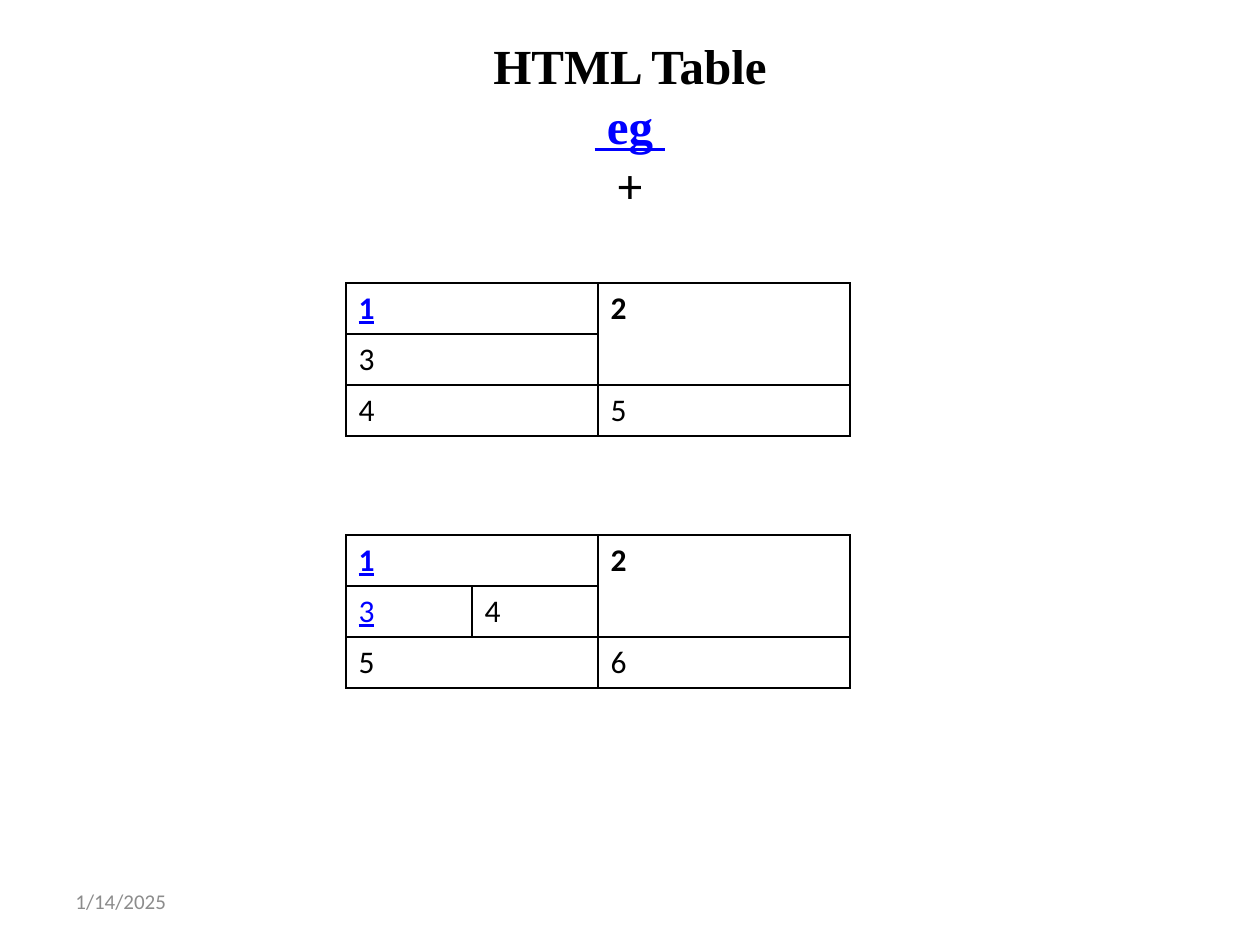
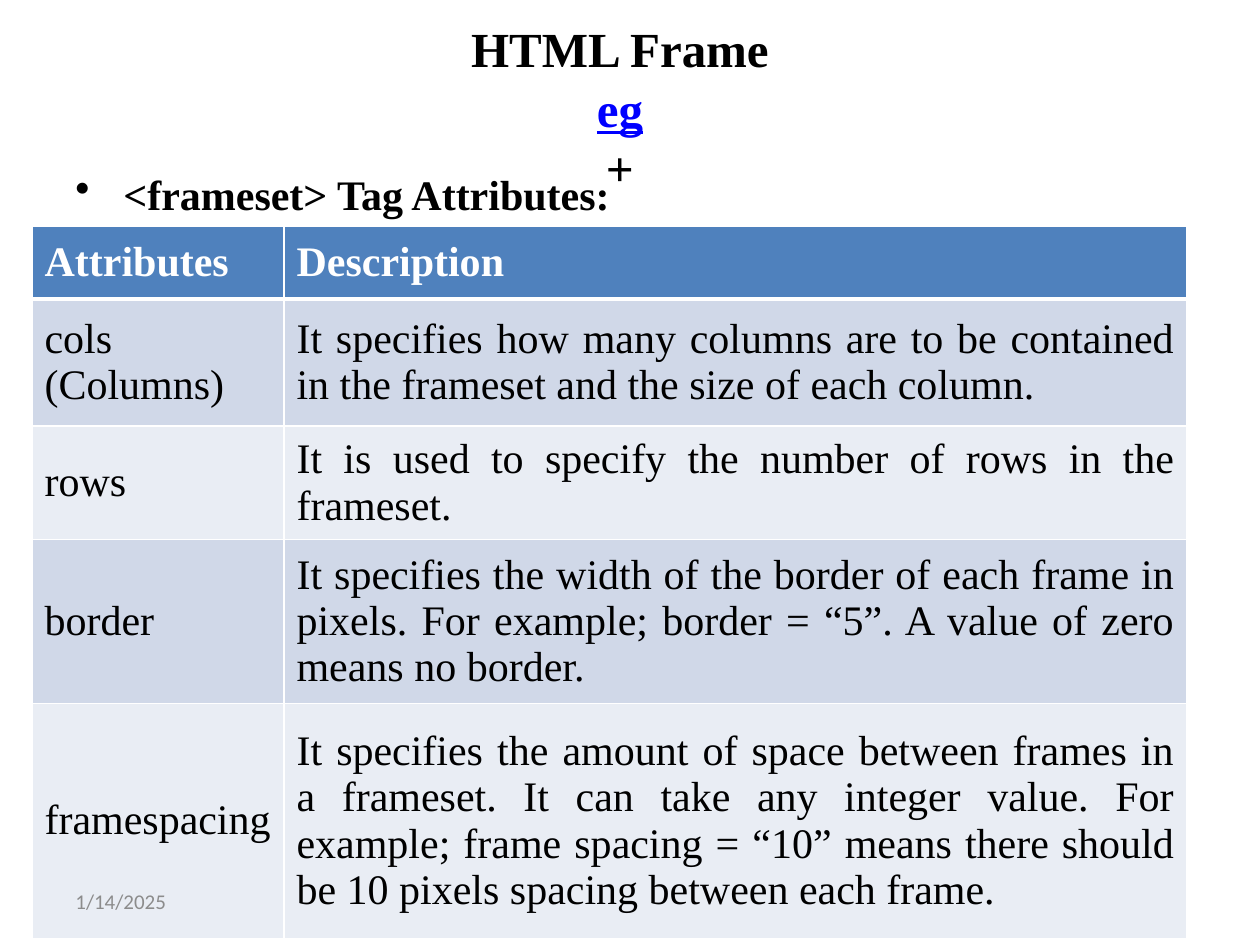
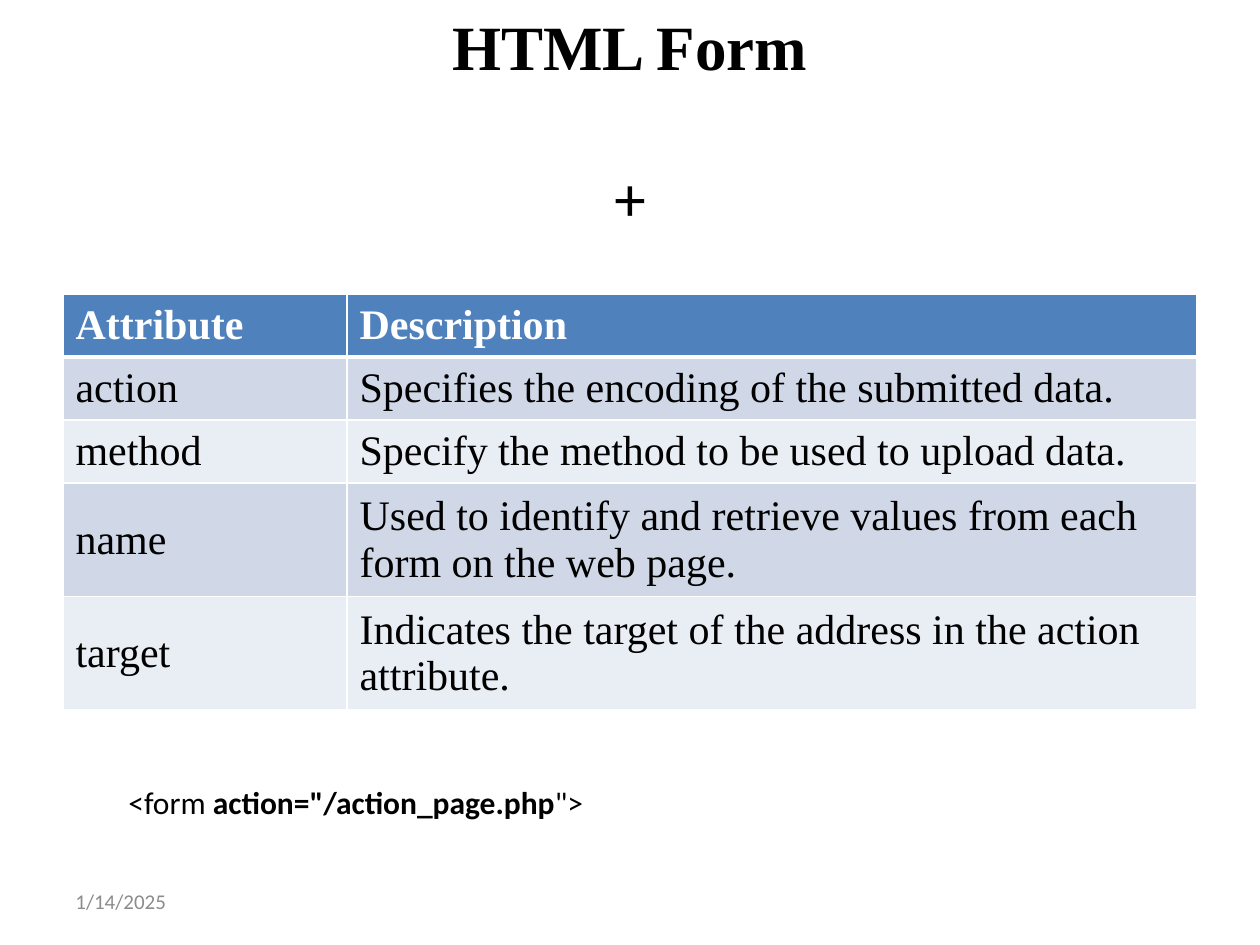
import lxml.etree
import pptx
import pptx.dml.color
import pptx.enum.text
import pptx.oxml.ns
import pptx.util

SCALE = 914400 / 126
RGB = pptx.dml.color.RGBColor
BLACK = RGB(0x00, 0x00, 0x00)
WHITE = RGB(0xFF, 0xFF, 0xFF)
LINK = RGB(0x00, 0x00, 0xFF)
GREY = RGB(0x8C, 0x8C, 0x8C)
BLUE = RGB(0x4F, 0x81, 0xBD)
BANDS = (RGB(0xE9, 0xED, 0xF4), RGB(0xD0, 0xD8, 0xE8))
SERIF = "Times New Roman"
SANS = "Calibri"
ALIGN = pptx.enum.text.PP_ALIGN
ANCHOR = pptx.enum.text.MSO_ANCHOR
FIT = pptx.enum.text.MSO_AUTO_SIZE
PT = pptx.util.Pt

HEAD = {"name": SERIF, "size": PT(28), "bold": True}
BIG = {**HEAD, "size": PT(36)}
BODY = {"name": SERIF, "size": PT(24)}
BOLD = {**BODY, "bold": True}
NOTE = {"name": SANS, "size": PT(18), "bold": False}
STRONG = {**NOTE, "bold": True}
DATE = {"name": SANS, "size": PT(12)}
UNDER = {"underline": True}
FLUSH = {"margin_left": 0, "margin_right": 0, "margin_top": 0, "margin_bottom": 0}

FRAME = (
    ("Attributes", "Description"),
    ("cols (Columns)", "It specifies how many columns are to be contained in the "
     "frameset and the size of each column."),
    ("rows", "It is used to specify the number of rows in the frameset."),
    ("border", "It specifies the width of the border of each frame in pixels. "
     "For example; border = “5”. A value of zero means no border."),
    ("framespacing", "It specifies the amount of space between frames in a frameset. "
     "It can take any integer value. For example; frame spacing = “10” means there "
     "should be 10 pixels spacing between each frame."),
)
FORM = (
    ("Attribute", "Description"),
    ("action", "Specifies the encoding of the submitted data."),
    ("method", "Specify the method to be used to upload data."),
    ("name", "Used to identify and retrieve values from each form on the web page."),
    ("target", "Indicates the target of the address in the action attribute."),
)


def px(num):
    return pptx.util.Emu(round(num * SCALE))


def apply(item, form):
    for key, val in form.items():
        setattr(item, key, val)


def write(para, text, form, tint=BLACK):
    run = para.add_run()
    run.text = text
    apply(run.font, form)
    run.font.color.rgb = tint


def panel(slide, box, form):
    frame = slide.shapes.add_textbox(*map(px, box)).text_frame
    apply(frame, {"word_wrap": True, **form})
    return frame


def title(slide, box, lines, pitch, gap=0):
    frame = panel(slide, box, FLUSH)
    for num, (text, form, tint) in enumerate(lines):
        para = frame.add_paragraph() if num else frame.paragraphs[0]
        apply(para, {"alignment": ALIGN.CENTER, "line_spacing": PT(pitch)})
        if num and gap:
            para.space_before = PT(gap)
        write(para, text, form, tint)


def footer(slide):
    frame = panel(slide, (63, 876, 294, 50), {"vertical_anchor": ANCHOR.MIDDLE})
    write(frame.paragraphs[0], "1/14/2025", DATE, GREY)


def bullet(slide, box, text):
    para = panel(slide, box, {}).paragraphs[0]
    props = para._p.get_or_add_pPr()
    props.set("marL", str(px(48)))
    props.set("indent", str(px(-48)))
    mark = lxml.etree.SubElement(props, pptx.oxml.ns.qn("a:buChar"))
    mark.set("char", "•")
    write(para, text, BOLD)


def paint(cell, fill, tint, base=1):
    props = cell._tc.get_or_add_tcPr()
    for side, wide in (("L", 1), ("R", 1), ("T", 1), ("B", base)):
        line = lxml.etree.SubElement(props, pptx.oxml.ns.qn("a:ln" + side), w=str(PT(wide)))
        solid = lxml.etree.SubElement(line, pptx.oxml.ns.qn("a:solidFill"))
        lxml.etree.SubElement(solid, pptx.oxml.ns.qn("a:srgbClr"), val=str(tint))
    cell.fill.solid()
    cell.fill.fore_color.rgb = fill


def grid(slide, left, top, cols, rows):
    box = (left, top, sum(cols), sum(rows))
    table = slide.shapes.add_table(len(rows), len(cols), *map(px, box)).table
    apply(table, {"first_row": False, "horz_banding": False})
    for col, wide in zip(table.columns, cols):
        col.width = px(wide)
    for row, high in zip(table.rows, rows):
        row.height = px(high)
    return table


def spans(slide, left, top, cols, items):
    table = grid(slide, left, top, cols, [51] * 3)
    for cell in table.iter_cells():
        paint(cell, WHITE, BLACK)
    for text, row, col, down, over, link in items:
        cell = table.cell(row, col)
        if down * over > 1:
            cell.merge(table.cell(row + down - 1, col + over - 1))
        form = NOTE if row else STRONG
        if link:
            form = {**form, **UNDER}
        write(cell.text_frame.paragraphs[0], text, form, LINK if link else BLACK)


def listing(slide, left, top, cols, rows, data, align):
    table = grid(slide, left, top, cols, rows)
    for row, texts in enumerate(data):
        for col, text in enumerate(texts):
            cell = table.cell(row, col)
            paint(cell, BANDS[row % 2] if row else BLUE, WHITE, 1 if row else 3)
            cell.vertical_anchor = ANCHOR.MIDDLE
            para = cell.text_frame.paragraphs[0]
            para.alignment = align
            write(para, text, BODY if row else BOLD, BLACK if row else WHITE)


def tables(slide):
    plus = {"name": SANS, "size": PT(28)}
    lines = (("HTML Table", HEAD, BLACK), (" eg ", {**HEAD, **UNDER}, LINK), ("+", plus, BLACK))
    title(slide, (63, 35, 1134, 110), lines, 34)
    spans(slide, 346, 283, (252, 252), (
        ("1", 0, 0, 1, 1, True), ("2", 0, 1, 2, 1, False), ("3", 1, 0, 1, 1, False),
        ("4", 2, 0, 1, 1, False), ("5", 2, 1, 1, 1, False)))
    spans(slide, 346, 535, (126, 126, 252), (
        ("1", 0, 0, 1, 2, True), ("2", 0, 2, 2, 1, False), ("3", 1, 0, 1, 1, True),
        ("4", 1, 1, 1, 1, False), ("5", 2, 0, 1, 2, False), ("6", 2, 2, 1, 1, False)))


def frames(slide):
    lines = (("HTML Frame", HEAD, BLACK), ("eg", {**HEAD, **UNDER}, LINK), ("+", HEAD, BLACK))
    title(slide, (53, 18, 1134, 88), lines, 34)
    bullet(slide, (63, 162, 1134, 73), "<frameset> Tag Attributes:")
    listing(slide, 32, 226, (252, 903), (73, 127, 106, 152, 235), FRAME, ALIGN.JUSTIFY)


def forms(slide):
    plus = {"name": SANS, "size": PT(36)}
    title(slide, (63, 8, 1134, 88), (("HTML Form", BIG, BLACK), ("+", plus, BLACK)), 43, 43)
    listing(slide, 63, 294, (284, 850), (59, 59, 59, 106, 106), FORM, ALIGN.LEFT)
    frame = panel(slide, (116, 777, 484, 50),
                  {"word_wrap": False, "auto_size": FIT.SHAPE_TO_FIT_TEXT})
    for text, form in (("<form ", NOTE), ('action="/action_page.php', STRONG), ('">', NOTE)):
        write(frame.paragraphs[0], text, form)


def main():
    deck = pptx.Presentation()
    apply(deck, {"slide_width": px(1260), "slide_height": px(945)})
    for build in (tables, frames, forms):
        slide = deck.slides.add_slide(deck.slide_layouts[6])
        build(slide)
        footer(slide)
    deck.save("out.pptx")


if __name__ == "__main__":
    main()
